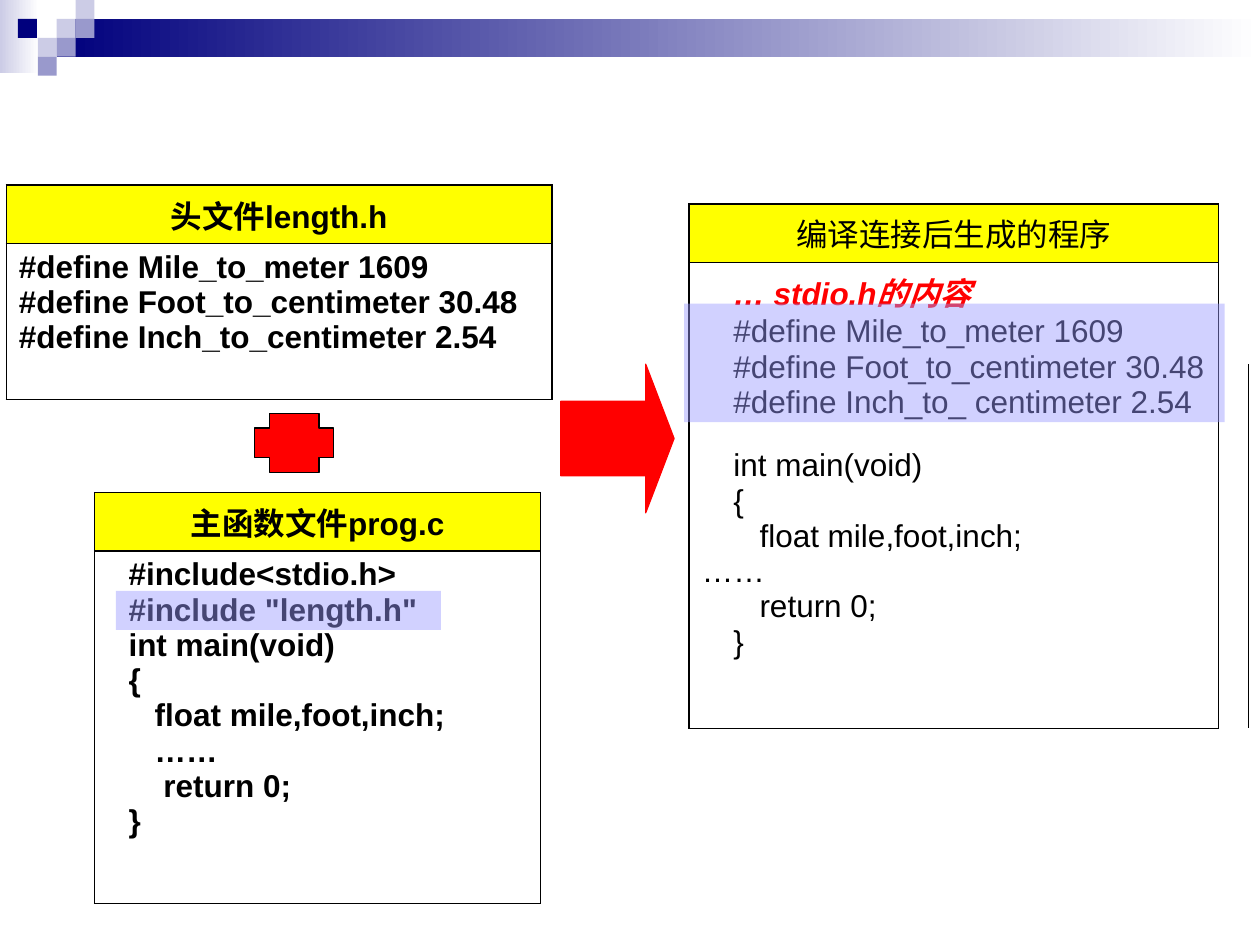
from dataclasses import dataclass

from lxml import etree
from pptx import Presentation
from pptx import util as u
from pptx.dml import color
from pptx.enum import shapes, text
from pptx.oxml import ns

Inches = u.Inches
NO_TABLE_STYLE = "{2D5ABB26-0587-4C30-8999-92F81FD0307C}"


@dataclass(frozen=True)
class Theme:
    """Colours, fonts and sizes of the slide."""
    navy: str = "00007D"
    lilac: str = "CCCCE6"
    violet: str = "9999CC"
    highlight: str = "9999FF"
    yellow: str = "FFFF00"
    red: str = "FF0000"
    black: str = "000000"
    white: str = "FFFFFF"
    latin: str = "Arial"
    chinese: str = "Noto Sans CJK SC"
    size: int = 18
    rule: float = 1
    outline: float = 0.75


THEME = Theme()
RGB = color.RGBColor.from_string

HEADER_CODE = [
    "#define Mile_to_meter 1609",
    "#define Foot_to_centimeter 30.48",
    "#define Inch_to_centimeter 2.54",
]
PROGRAM_CODE = [
    "#include<stdio.h>",
    '#include "length.h"',
    "int main(void)",
    "{",
    "   float mile,foot,inch;",
    "   ……",
    "    return 0;",
    "}",
]
RESULT_CODE = [
    ("… stdio.h的内容", dict(ink=THEME.red, bold=True, italic=True)),
    ("#define Mile_to_meter 1609", {}),
    ("#define Foot_to_centimeter 30.48", {}),
    ("#define Inch_to_ centimeter 2.54", {}),
    ("int main(void)", dict(spacing=1.8)),
    ("{", {}),
    ("   float mile,foot,inch;", {}),
    ("……", dict(first=0)),
    ("   return 0;", {}),
    ("}", {}),
]


def write(para, words, ink=THEME.black, font=THEME.latin, bold=False, italic=False,
          align=text.PP_ALIGN.LEFT, margin=0, first=0, spacing=None):
    """Write one formatted paragraph."""
    para.alignment = align
    props = para._p.get_or_add_pPr()
    props.set("marL", str(Inches(margin)))
    props.set("indent", str(Inches(first)))
    if spacing:
        para.line_spacing = spacing
    span = para.add_run()
    span.text = words
    span.font.size = u.Pt(THEME.size)
    span.font.name = font
    span.font.bold = bold
    span.font.italic = italic
    span.font.color.rgb = RGB(ink)
    east = etree.SubElement(span._r.get_or_add_rPr(), ns.qn("a:ea"))
    east.set("typeface", THEME.chinese)


def fill_cell(cell, lines, **style):
    """Write (words, format) lines into a cell, sharing a base format."""
    frame = cell.text_frame
    for index, (words, changes) in enumerate(lines):
        para = frame.add_paragraph() if index else frame.paragraphs[0]
        write(para, words, **{**style, **changes})


def set_borders(cell, sides):
    """Rule the named sides of a cell, given in the order L, R, T, B."""
    props = cell._tc.get_or_add_tcPr()
    for index, side in enumerate(sides):
        line = etree.Element(ns.qn(f"a:ln{side}"), w=str(u.Pt(THEME.rule)))
        solid = etree.SubElement(line, ns.qn("a:solidFill"))
        etree.SubElement(solid, ns.qn("a:srgbClr"), val=THEME.black)
        props.insert(index, line)


def add_grid(page, box, columns, rows):
    """Add an unstyled table with a yellow first cell."""
    frame = page.shapes.add_table(len(rows), len(columns), *map(Inches, box))
    table = frame.table
    table.first_row = table.horz_banding = False
    table._tbl.tblPr.find(ns.qn("a:tableStyleId")).text = NO_TABLE_STYLE
    for column, width in zip(table.columns, columns):
        column.width = Inches(width)
    for row, height in zip(table.rows, rows):
        row.height = Inches(height)
    for cell in table.iter_cells():
        cell.fill.background()
    heading = table.cell(0, 0)
    heading.fill.solid()
    heading.fill.fore_color.rgb = RGB(THEME.yellow)
    heading.vertical_anchor = text.MSO_ANCHOR.TOP
    return table


def add_file(page, box, heading, code, first):
    """Add a source file: a heading above its code."""
    title_height = 0.4
    table = add_grid(page, box, [box[2]], [title_height, box[3] - title_height])
    style = dict(bold=True, margin=0.38)
    fill_cell(table.cell(0, 0), [(heading, {})], align=text.PP_ALIGN.CENTER,
              first=-0.38, **style)
    fill_cell(table.cell(1, 0), [(line, {}) for line in code], first=first, **style)
    for cell in table.iter_cells():
        set_borders(cell, "LRTB")


def add_result(page, box):
    """Add the compiled program with its open right edge."""
    edge = 0.23
    table = add_grid(page, box, [box[2] - edge, edge], [0.4, 0.81, 0.81, 0.81, 1.27])
    body = table.cell(1, 0)
    body.merge(table.cell(4, 0))
    fill_cell(table.cell(0, 0), [("编译连接后生成的程序", {})],
              font=THEME.chinese, align=text.PP_ALIGN.CENTER)
    fill_cell(body, RESULT_CODE, first=0.25)
    set_borders(table.cell(0, 0), "LRTB")
    set_borders(body, "LTB")
    for row, sides in enumerate(["L", "L", "LR", "R", "R"]):
        set_borders(table.cell(row, 1), sides)


def add_block(page, box, fill, kind=shapes.MSO_SHAPE.RECTANGLE, line=None,
              fade=False, alpha=None, adjust=()):
    """Add a shape, filled plainly, faded to white or see-through."""
    block = page.shapes.add_shape(kind, *map(Inches, box))
    block.shadow.inherit = False
    for index, value in enumerate(adjust):
        block.adjustments[index] = value
    if fade:
        block.fill.gradient()
        block.fill.gradient_angle = 0
        for stop, ink in zip(block.fill.gradient_stops, (fill, THEME.white)):
            stop.color.rgb = RGB(ink)
    else:
        block.fill.solid()
        block.fill.fore_color.rgb = RGB(fill)
    if alpha:
        ink = block._element.spPr.find(".//" + ns.qn("a:srgbClr"))
        etree.SubElement(ink, ns.qn("a:alpha"), val=str(alpha * 1000))
    if line:
        block.line.color.rgb = RGB(line)
        block.line.width = u.Pt(THEME.outline)
    else:
        block.line.fill.background()


def add_banner(page, box):
    """Add the faded bar and its mosaic of squares across the top."""
    left, top, width, height = box
    side = height / 4
    add_block(page, (left, top, 0.31, 0.58), THEME.lilac, fade=True)
    add_block(page, (left + 3 * side, top + side, width - 3 * side, 2 * side),
              THEME.navy, fade=True)
    mosaic = [(3, 1, THEME.lilac), (4, 0, THEME.lilac), (4, 1, THEME.violet),
              (2, 2, THEME.lilac), (0.95, 1, THEME.navy), (3, 2, THEME.violet),
              (2, 3, THEME.violet)]
    for column, row, ink in mosaic:
        add_block(page, (left + column * side, top + row * side, side, side), ink)


def main():
    """Build and save the slide."""
    deck = Presentation()
    deck.slide_width, deck.slide_height = Inches(10), Inches(7.5)
    page = deck.slides.add_slide(deck.slide_layouts[6])
    add_banner(page, (0, 0, 10, 0.6))
    add_file(page, (0.05, 1.47, 4.33, 1.64), "头文件length.h", HEADER_CODE, -0.38)
    add_block(page, (4.45, 2.89, 0.9, 1.18), THEME.red, line=THEME.red,
              kind=shapes.MSO_SHAPE.RIGHT_ARROW, adjust=(0.5, 0.25))
    add_block(page, (2.02, 3.28, 0.63, 0.47), THEME.red, line=THEME.black,
              kind=shapes.MSO_SHAPE.CROSS, adjust=(0.25,))
    add_file(page, (0.75, 3.91, 3.54, 3.2), "主函数文件prog.c", PROGRAM_CODE, -0.21)
    add_result(page, (5.47, 1.62, 4.43, 4.1))
    for box in [(0.92, 4.69, 2.58, 0.31), (5.43, 2.41, 4.29, 0.94)]:
        add_block(page, box, THEME.highlight, alpha=45)
    deck.save("out.pptx")


if __name__ == "__main__":
    main()
